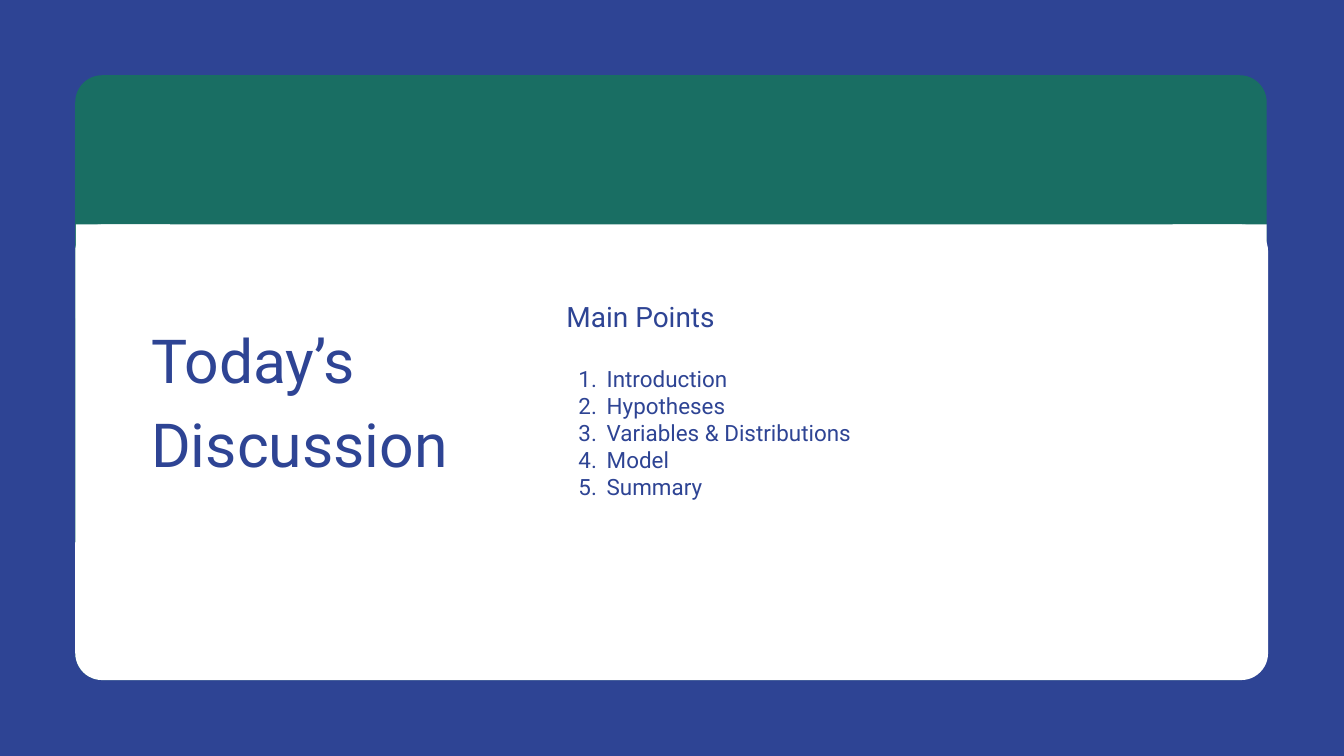
from pptx import Presentation
from pptx.dml.color import RGBColor
from pptx.enum.shapes import MSO_SHAPE
from pptx.enum.text import MSO_AUTO_SIZE, PP_ALIGN
from pptx.oxml.ns import qn
from pptx.util import Inches, Pt
from lxml.etree import SubElement

INK = {"blue": "2E4494", "green": "196E63", "white": "FFFFFF"}


class Deck:
    """Hold the style and the current slide."""

    font = "Roboto"
    curve = 0.4

    def __init__(self, wide, high):
        self.prs = Presentation()
        self.prs.slide_width = Inches(wide)
        self.prs.slide_height = Inches(high)
        self.slide = self.prs.slides.add_slide(self.prs.slide_layouts[6])

    def tint(self, fill, name):
        fill.solid()
        fill.fore_color.rgb = RGBColor.from_string(INK[name])

    def panel(self, box, name, kind=MSO_SHAPE.RECTANGLE):
        shape = self.slide.shapes.add_shape(kind, *map(Inches, box))
        shape.shadow.inherit = False
        self.tint(shape.fill, name)
        shape.line.fill.background()
        return shape

    def card(self, box, name):
        shape = self.panel(box, name, MSO_SHAPE.ROUNDED_RECTANGLE)
        shape.adjustments[0] = self.curve / min(box[2:])

    def text(self, box, lines, size, space=1.0, inset=0):
        frame = self.slide.shapes.add_textbox(*map(Inches, box)).text_frame
        frame.word_wrap = True
        frame.auto_size = MSO_AUTO_SIZE.SHAPE_TO_FIT_TEXT
        frame.margin_left = frame.margin_right = Inches(inset)
        frame.margin_top = frame.margin_bottom = Inches(inset)
        frame.text = "\n".join(lines)
        for para in frame.paragraphs:
            para.alignment = PP_ALIGN.LEFT
            para.line_spacing = space
            for run in para.runs:
                run.font.name = self.font
                run.font.size = Pt(size)
                run.font.color.rgb = RGBColor.from_string(INK["blue"])
        return frame

    def steps(self, box, lines, size):
        frame = self.text(box, lines, size, inset=0.1)
        for para in frame.paragraphs:
            props = para._p.get_or_add_pPr()
            props.set("marL", str(Inches(0.5)))
            props.set("indent", str(Inches(-0.42)))
            tone = SubElement(props, qn("a:buClr"))
            SubElement(tone, qn("a:srgbClr"), val=INK["blue"])
            SubElement(props, qn("a:buFont"), typeface=self.font)
            SubElement(props, qn("a:buAutoNum"), type="arabicPeriod")


def main():
    deck = Deck(20, 11.25)
    deck.tint(deck.slide.background.fill, "blue")
    deck.card((1.12, 1.12, 17.73, 9), "green")
    deck.card((1.12, 3.34, 17.75, 6.78), "white")
    for left in (1.13, 17.45):
        deck.panel((left, 3.34, 1.4, 1.4), "white")
    deck.text((2.25, 4.64, 5.45, 2.35), ["Today’s", "Discussion"], 65, 1.15)
    deck.text((8.43, 4.31, 9.17, 0.5), ["Main Points"], 30, 1.3)
    points = ["Introduction", "Hypotheses", "Variables & Distributions",
              "Model", "Summary"]
    deck.steps((8.43, 5.34, 14.21, 2.22), points, 24)
    deck.prs.save("out.pptx")


if __name__ == "__main__":
    main()
